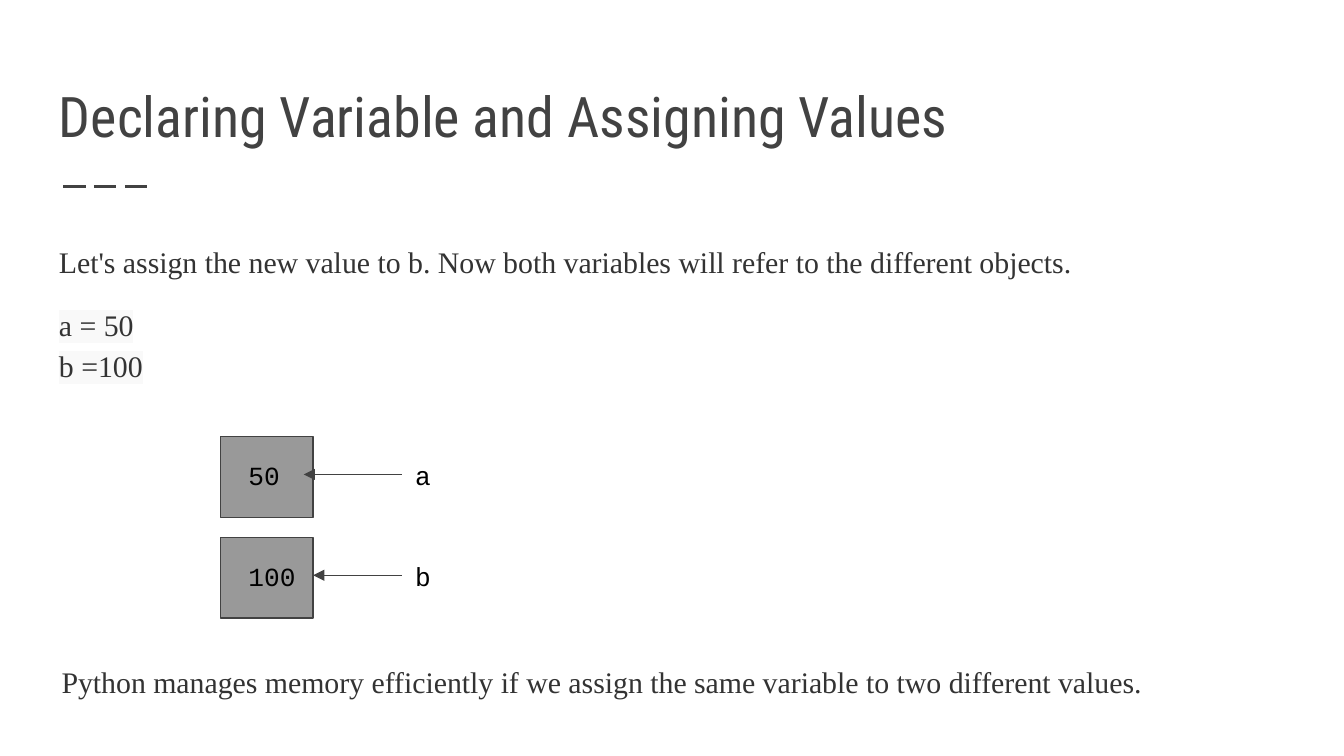
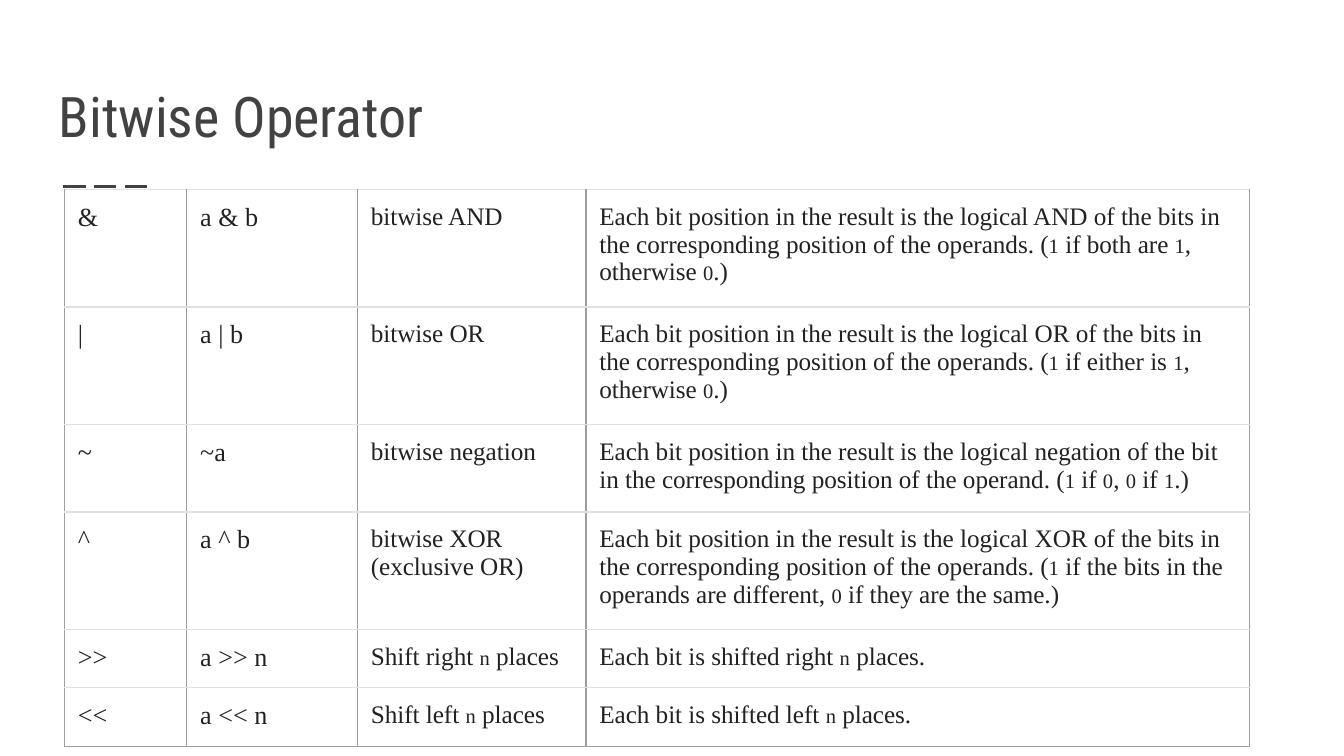
from pptx import Presentation, util as u
from pptx.dml.color import RGBColor
from pptx.enum import dml, shapes, text
from pptx.oxml import ns, xmlchemy

DARK = RGBColor(0x42, 0x42, 0x42)
BODY = RGBColor(0x33, 0x33, 0x33)
CELL_TEXT = RGBColor(0x22, 0x22, 0x22)
BLACK = RGBColor(0, 0, 0)
WHITE = RGBColor(0xFF, 0xFF, 0xFF)
CODE_BACK = RGBColor(0xF9, 0xF9, 0xF9)
BOX_GREY = RGBColor(0x99, 0x99, 0x99)
GRID = RGBColor(0x9E, 0x9E, 0x9E)
ROW_RULE = RGBColor(0xDE, 0xE2, 0xE6)

TITLE_FONT = "Roboto Condensed"
SERIF = "Times New Roman"
MONO = "Courier New"
INSET = u.Inches(0.1)

COLUMN_WIDTHS = [0.91, 1.27, 1.7, 4.94]
ROW_HEIGHTS = [0.6, 0.42, 0.44, 0.42, 0.42, 0.42]
RESULT = "Each bit position in the result is the logical "
OPERANDS = " of the bits in the corresponding position of the operands. ("
# Backticks enclose the small literals.
OPERATORS = [
    ("&", "a & b", "bitwise AND",
     RESULT + "AND" + OPERANDS + "`1` if both are `1`, otherwise `0`.)"),
    ("|", "a | b", "bitwise OR",
     RESULT + "OR" + OPERANDS + "`1` if either is `1`, otherwise `0`.)"),
    ("~", "~a", "bitwise negation",
     RESULT + "negation of the bit in the corresponding position of the operand. "
     "(`1` if `0`, `0` if `1`.)"),
    ("^", "a ^ b", "bitwise XOR (exclusive OR)",
     RESULT + "XOR" + OPERANDS
     + "`1` if the bits in the operands are different, `0` if they are the same.)"),
    (">>", "a >> n", "Shift right `n` places", "Each bit is shifted right `n` places."),
    ("<<", "a << n", "Shift left `n` places", "Each bit is shifted left `n` places."),
]


def add_element(parent, tag, **attributes):
    element = xmlchemy.OxmlElement(tag)
    for name, value in attributes.items():
        element.set(name, str(value))
    parent.append(element)
    return element


def style_run(run, font, size, color, highlight=None):
    run.font.name = font
    run.font.size = u.Pt(size)
    run.font.color.rgb = color
    if highlight is not None:
        mark = xmlchemy.OxmlElement("a:highlight")
        add_element(mark, "a:srgbClr", val=highlight)
        run.font._element.find(ns.qn("a:solidFill")).addnext(mark)


def add_text(slide, place, lines, font, size, color, highlights=(None,),
             spacing=None, justify=False, grow=False, anchor=text.MSO_ANCHOR.TOP):
    """Add a text box with one paragraph, and one highlight, per line."""
    box = slide.shapes.add_textbox(*map(u.Inches, place))
    frame = box.text_frame
    frame.word_wrap = True
    frame.vertical_anchor = anchor
    if grow:
        frame.auto_size = text.MSO_AUTO_SIZE.SHAPE_TO_FIT_TEXT
    frame.margin_left = frame.margin_right = INSET
    frame.margin_top = frame.margin_bottom = INSET
    frame.text = "\n".join(lines)
    for paragraph, highlight in zip(frame.paragraphs, highlights):
        paragraph.line_spacing = spacing
        if justify:
            paragraph.alignment = text.PP_ALIGN.JUSTIFY
        style_run(paragraph.runs[0], font, size, color, highlight)
    return frame


def add_line(slide, start, end, width):
    line = slide.shapes.add_connector(
        shapes.MSO_CONNECTOR.STRAIGHT, *map(u.Inches, (*start, *end)))
    line.line.color.rgb = DARK
    line.line.width = u.Pt(width)
    add_element(line._element.spPr, "a:effectLst")
    return line


def add_arrow(slide, start, end):
    arrow = add_line(slide, start, end, 0.75)
    add_element(arrow.line._get_or_add_ln(), "a:tailEnd", type="triangle")


def add_titled_slide(presentation, title, **title_format):
    slide = presentation.slides.add_slide(presentation.slide_layouts[6])
    slide.background.fill.solid()
    slide.background.fill.fore_color.rgb = WHITE
    rule = add_line(slide, (0.47, 1.39), (1.14, 1.39), 1.5)
    rule.line.dash_style = dml.MSO_LINE.LONG_DASH
    add_text(slide, (0.34, 0.41, 9.32, 0.8), [title], TITLE_FONT, 30, DARK,
             anchor=text.MSO_ANCHOR.BOTTOM, **title_format)
    return slide


def add_variable(slide, top, value, value_width, name, arrow_tip, arrow_height):
    """Draw a memory box with its value and a level arrow from the variable name."""
    box = slide.shapes.add_shape(
        shapes.MSO_SHAPE.RECTANGLE, *map(u.Inches, (1.64, top, 0.69, 0.6)))
    box.shadow.inherit = False
    box.fill.solid()
    box.fill.fore_color.rgb = BOX_GREY
    box.line.color.rgb = DARK
    box.line.width = u.Pt(0.75)
    for left, width, label in ((1.75, value_width, value), (2.99, 0.39, name)):
        add_text(slide, (left, top + 0.07, width, 0.44), [label],
                 MONO, 14, BLACK, grow=True)
    add_arrow(slide, (2.99, arrow_height), (arrow_tip, arrow_height))


def set_borders(cell, left, right, top, bottom):
    properties = cell._tc.get_or_add_tcPr()
    sides = zip(("L", "R", "T", "B"), (left, right, top, bottom))
    for index, (side, color) in enumerate(sides):
        border = add_element(properties, f"a:ln{side}", w=u.Pt(0.75))
        fill = add_element(border, "a:solidFill")
        add_element(fill, "a:srgbClr", val=color)
        properties.insert(index, border)


def fill_cell(cell, content, size):
    cell.margin_left = cell.margin_right = INSET
    cell.margin_top = cell.margin_bottom = INSET
    cell.fill.background()
    paragraph = cell.text_frame.paragraphs[0]
    for index, part in enumerate(content.split("`")):
        run = paragraph.add_run()
        run.text = part
        style_run(run, SERIF, 11 if index % 2 else size, CELL_TEXT, WHITE)


def add_operator_table(slide):
    """Add the operator table; its rows grow to fit their text."""
    table = slide.shapes.add_table(
        len(OPERATORS), len(COLUMN_WIDTHS),
        *map(u.Inches, (0.48, 1.41, sum(COLUMN_WIDTHS), sum(ROW_HEIGHTS)))).table
    table.first_row = table.horz_banding = False
    for column, width in zip(table.columns, COLUMN_WIDTHS):
        column.width = u.Inches(width)
    for row, height, contents in zip(table.rows, ROW_HEIGHTS, OPERATORS):
        row.height = u.Inches(height)
        bottom = GRID if contents is OPERATORS[-1] else ROW_RULE
        for cell, content, size in zip(row.cells, contents, (14, 14, 13.5, 13.5)):
            fill_cell(cell, content, size)
            set_borders(cell, GRID, GRID, ROW_RULE, bottom)


def build_variable_slide(presentation):
    slide = add_titled_slide(
        presentation, "Declaring Variable and Assigning Values",
        highlights=(WHITE,), spacing=1.3, justify=True)
    body = add_text(
        slide, (0.34, 1.67, 9.32, 1.4),
        ["Let's assign the new value to b. Now both variables will refer to the "
         "different objects.", "a = 50", "b =100"],
        SERIF, 16, BODY, (WHITE, CODE_BACK, CODE_BACK), spacing=1.15, justify=True)
    body.paragraphs[1].space_before = u.Pt(12)
    add_variable(slide, 3.25, "50", 0.51, "a", 2.26, 3.53)
    add_variable(slide, 4, "100", 0.58, "b", 2.33, 4.28)
    add_text(
        slide, (0.36, 4.8, 9.3, 0.47),
        ["Python manages memory efficiently if we assign the same variable to two "
         "different values."],
        SERIF, 16, BODY, (WHITE,), spacing=1.15, justify=True, grow=True)


def build_operator_slide(presentation):
    slide = add_titled_slide(presentation, "Bitwise Operator")
    add_operator_table(slide)


def main():
    presentation = Presentation()
    presentation.slide_width = u.Inches(10)
    presentation.slide_height = presentation.slide_width * 9 // 16
    build_variable_slide(presentation)
    build_operator_slide(presentation)
    presentation.save("out.pptx")


if __name__ == "__main__":
    main()
